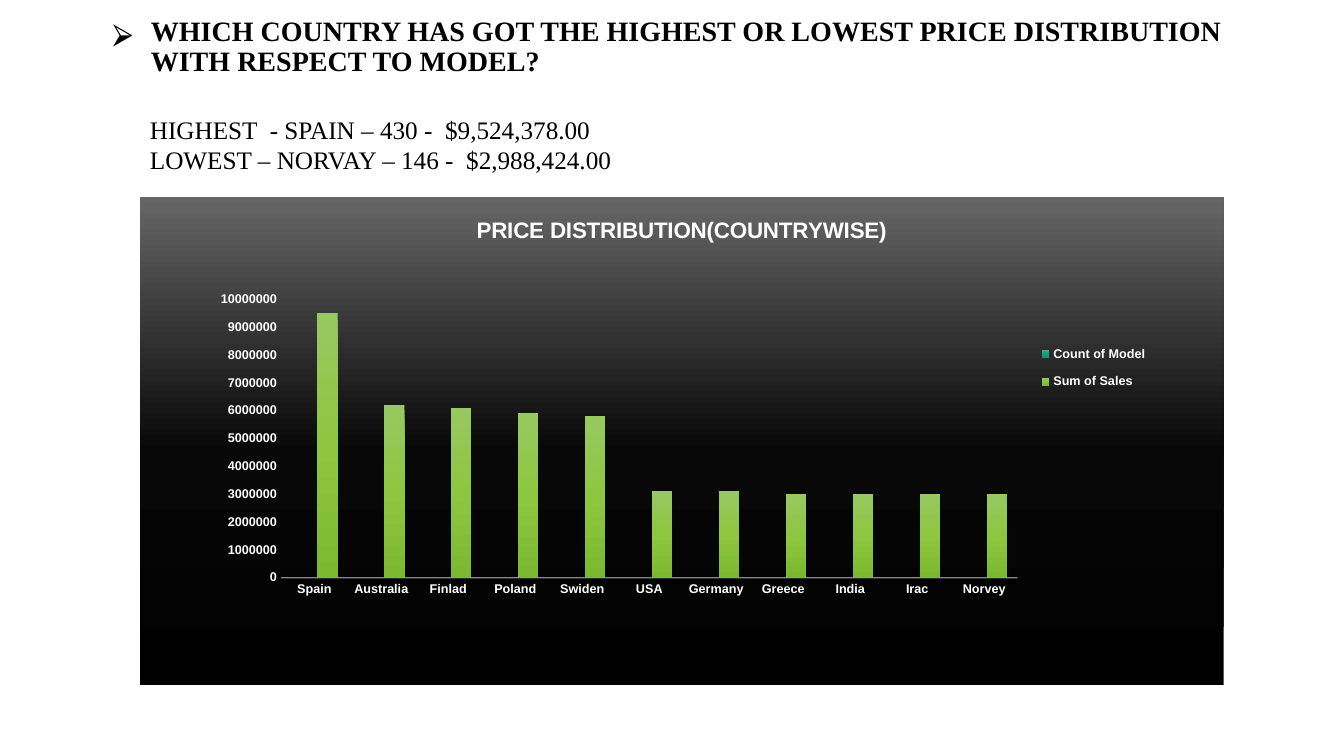
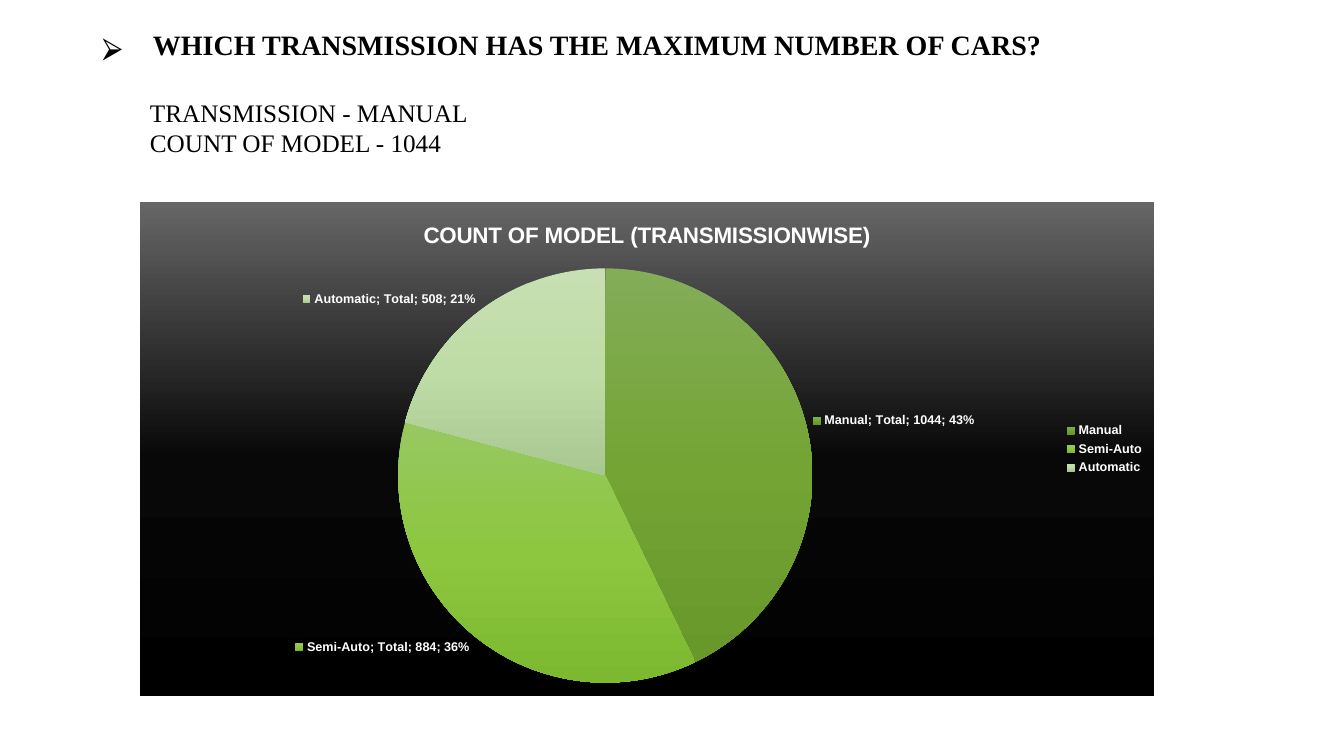
"""Build two slides on car sales: price by country and models by transmission."""
from lxml.etree import SubElement
from pptx import Presentation
from pptx.chart.data import CategoryChartData
from pptx.dml.color import RGBColor
from pptx.dml.fill import FillFormat
from pptx.enum.chart import XL_CHART_TYPE as ChartType
from pptx.enum.chart import XL_LABEL_POSITION as LabelPosition
from pptx.enum.chart import XL_LEGEND_POSITION as LegendPosition
from pptx.enum.chart import XL_TICK_MARK as TickMark
from pptx.enum.text import MSO_ANCHOR as Anchor
from pptx.enum.text import MSO_AUTO_SIZE as AutoSize
from pptx.enum.text import PP_ALIGN as Align
from pptx.oxml import parse_xml
from pptx.oxml.ns import nsdecls, qn
from pptx.util import Pt

COLORS = {"text": "000000", "chart_text": "FFFFFF", "axis": "F2F2F2"}
GRADIENTS = {
    "panel": ("000000", "080808", "666666"),
    "teal": ("4EA788", "17A07B", "0F9470"),
    "dark_green": ("84AC59", "74A534", "68972A"),
    "green": ("98C862", "8CC73F", "7DB831"),
    "pale_green": ("C7DFB3", "BEDCA5", "A9C790"),
}
TITLE_FONT = {"name": "Times New Roman", "size": Pt(20), "bold": True, "color": COLORS["text"]}
BODY_FONT = {**TITLE_FONT, "size": Pt(18), "bold": False}
CHART_FONT = {"name": "Arial", "size": Pt(10), "bold": True, "color": COLORS["chart_text"]}
SMALL_FONT = {**CHART_FONT, "size": Pt(9)}
HEADING_FONT = {**CHART_FONT, "size": Pt(16)}


def apply_format(target, values):
    for name, value in values.items():
        if name == "color":
            target.color.rgb = RGBColor.from_string(value)
        else:
            setattr(target, name, value)


def apply_gradient(fill, name, angle=270, middle=50):
    fill.gradient()
    fill.gradient_angle = angle
    stops = fill._xPr.find(qn("a:gradFill")).find(qn("a:gsLst"))
    for stop in list(stops):
        stops.remove(stop)
    for position, color in zip((0, middle, 100), GRADIENTS[name]):
        stop = SubElement(stops, qn("a:gs"), pos=str(position * 1000))
        SubElement(stop, qn("a:srgbClr"), val=color)


SLIDES = [
    {
        "title": "WHICH COUNTRY HAS GOT THE HIGHEST OR LOWEST PRICE DISTRIBUTION WITH RESPECT TO MODEL?",
        "title_box": (73.5, 2, 828, 63.5),
        "indent": 27,
        "answer": "HIGHEST  - SPAIN – 430 -  $9,524,378.00\vLOWEST – NORVAY – 146 -  $2,988,424.00",
        "answer_box": (100, 78, 381, 51),
        "chart_type": ChartType.COLUMN_CLUSTERED,
        "chart_title": "PRICE DISTRIBUTION(COUNTRYWISE)",
        "chart_box": (100, 140.5, 774, 349),
        "categories": ["Spain", "Australia", "Finlad", "Poland", "Swiden", "USA",
                       "Germany", "Greece", "India", "Irac", "Norvey"],
        "series": {
            "Count of Model": [0] * 11,
            "Sum of Sales": [9500000, 6200000, 6100000, 5900000, 5800000, 3100000,
                             3100000, 3000000, 3000000, 3000000, 3000000],
        },
    },
    {
        "title": "WHICH TRANSMISSION HAS THE MAXIMUM NUMBER OF CARS?",
        "title_box": (66, 16.5, 828, 33),
        "indent": 36,
        "answer": "TRANSMISSION - MANUAL\nCOUNT OF MODEL - 1044",
        "answer_box": (100, 66, 638, 51),
        "chart_type": ChartType.PIE,
        "chart_title": "COUNT OF MODEL (TRANSMISSIONWISE)",
        "chart_box": (100, 144, 724.5, 353.5),
        "categories": ["Manual", "Semi-Auto", "Automatic"],
        "series": {"Total": [1044, 884, 508]},
    },
]

presentation = Presentation()
presentation.slide_width, presentation.slide_height = Pt(960), Pt(540)
title_layout = presentation.slide_layouts[5]
charts = []

for content in SLIDES:
    slide = presentation.slides.add_slide(title_layout)

    title = slide.shapes.title
    title.left, title.top, title.width, title.height = map(Pt, content["title_box"])
    title.text_frame.text = content["title"]
    apply_format(title.text_frame, {
        "auto_size": AutoSize.NONE, "word_wrap": True, "vertical_anchor": Anchor.MIDDLE})
    paragraph = title.text_frame.paragraphs[0]
    apply_format(paragraph, {"alignment": Align.LEFT, "line_spacing": 0.9})
    apply_format(paragraph.runs[0].font, TITLE_FONT)
    properties = paragraph._p.get_or_add_pPr()
    properties.set("marL", str(Pt(content["indent"])))
    properties.set("indent", str(-Pt(content["indent"])))
    bullet_color = SubElement(properties, qn("a:buClr"))
    SubElement(bullet_color, qn("a:srgbClr"), val=COLORS["text"])
    SubElement(properties, qn("a:buFont"), typeface="Noto Sans Symbols")
    SubElement(properties, qn("a:buChar"), char="⮚")

    answer = slide.shapes.add_textbox(*map(Pt, content["answer_box"]))
    answer.text_frame.text = content["answer"]
    apply_format(answer.text_frame, {"word_wrap": True, "auto_size": AutoSize.SHAPE_TO_FIT_TEXT})
    for paragraph in answer.text_frame.paragraphs:
        for run in paragraph.runs:
            apply_format(run.font, BODY_FONT)

    data = CategoryChartData(number_format="0")
    data.categories = content["categories"]
    for name, values in content["series"].items():
        data.add_series(name, values)
    chart = slide.shapes.add_chart(
        content["chart_type"], *map(Pt, content["chart_box"]), data).chart
    apply_format(chart.font, CHART_FONT)
    chart.has_title = True
    chart.chart_title.text_frame.text = content["chart_title"]
    apply_format(chart.chart_title.text_frame.paragraphs[0].runs[0].font, HEADING_FONT)
    chart.has_legend = True
    apply_format(chart.legend, {"position": LegendPosition.RIGHT, "include_in_layout": False})
    apply_format(chart.legend.font, SMALL_FONT)

    panel = parse_xml(f'<c:spPr {nsdecls("c", "a")}><a:ln><a:noFill/></a:ln></c:spPr>')
    chart._chartSpace.find(qn("c:chart")).addnext(panel)
    apply_gradient(FillFormat.from_fill_parent(panel), "panel", angle=90, middle=48)
    charts.append(chart)

column_chart, pie_chart = charts

columns = column_chart.plots[0]
apply_format(columns, {"gap_width": 100, "overlap": -24, "vary_by_categories": False})
for series, gradient in zip(columns.series, ("teal", "green")):
    apply_gradient(series.format.fill, gradient)

for axis in (column_chart.category_axis, column_chart.value_axis):
    apply_format(axis, {
        "has_major_gridlines": False,
        "major_tick_mark": TickMark.NONE,
        "minor_tick_mark": TickMark.NONE,
    })
    apply_format(axis.tick_labels.font, SMALL_FONT)
apply_format(column_chart.value_axis.tick_labels, {
    "number_format": "0", "number_format_is_linked": False})
column_chart.value_axis.format.line.fill.background()
axis_line = column_chart.category_axis.format.line
apply_format(axis_line, {"width": Pt(1), "color": COLORS["axis"]})
axis_color = axis_line._ln.find(qn("a:solidFill")).find(qn("a:srgbClr"))
SubElement(axis_color, qn("a:alpha"), val="54000")

plot_area = column_chart._chartSpace.find(qn("c:chart")).find(qn("c:plotArea"))
for parent, index, target, box in (
    (plot_area, 0, "inner", (0.13, 0.21, 0.68, 0.57)),
    (column_chart.legend._element, 1, None, (0.82, 0.28, 0.12, 0.14)),
):
    for old_layout in parent.findall(qn("c:layout")):
        parent.remove(old_layout)
    layout = parse_xml(f'<c:layout {nsdecls("c")}><c:manualLayout/></c:layout>')
    manual = layout[0]
    if target:
        SubElement(manual, qn("c:layoutTarget"), val=target)
    for mode in ("xMode", "yMode"):
        SubElement(manual, qn(f"c:{mode}"), val="edge")
    for side, value in zip("xywh", box):
        SubElement(manual, qn(f"c:{side}"), val=str(value))
    parent.insert(index, layout)

pie = pie_chart.plots[0]
pie.vary_by_categories = True
for index, gradient in enumerate(("dark_green", "green", "pale_green")):
    apply_gradient(pie.series[0].points[index].format.fill, gradient)
pie.has_data_labels = True
apply_format(pie.data_labels, {
    "show_category_name": True,
    "show_series_name": True,
    "show_value": True,
    "show_percentage": True,
    "show_legend_key": True,
    "position": LabelPosition.OUTSIDE_END,
})
apply_format(pie.data_labels.font, SMALL_FONT)

presentation.save("out.pptx")
